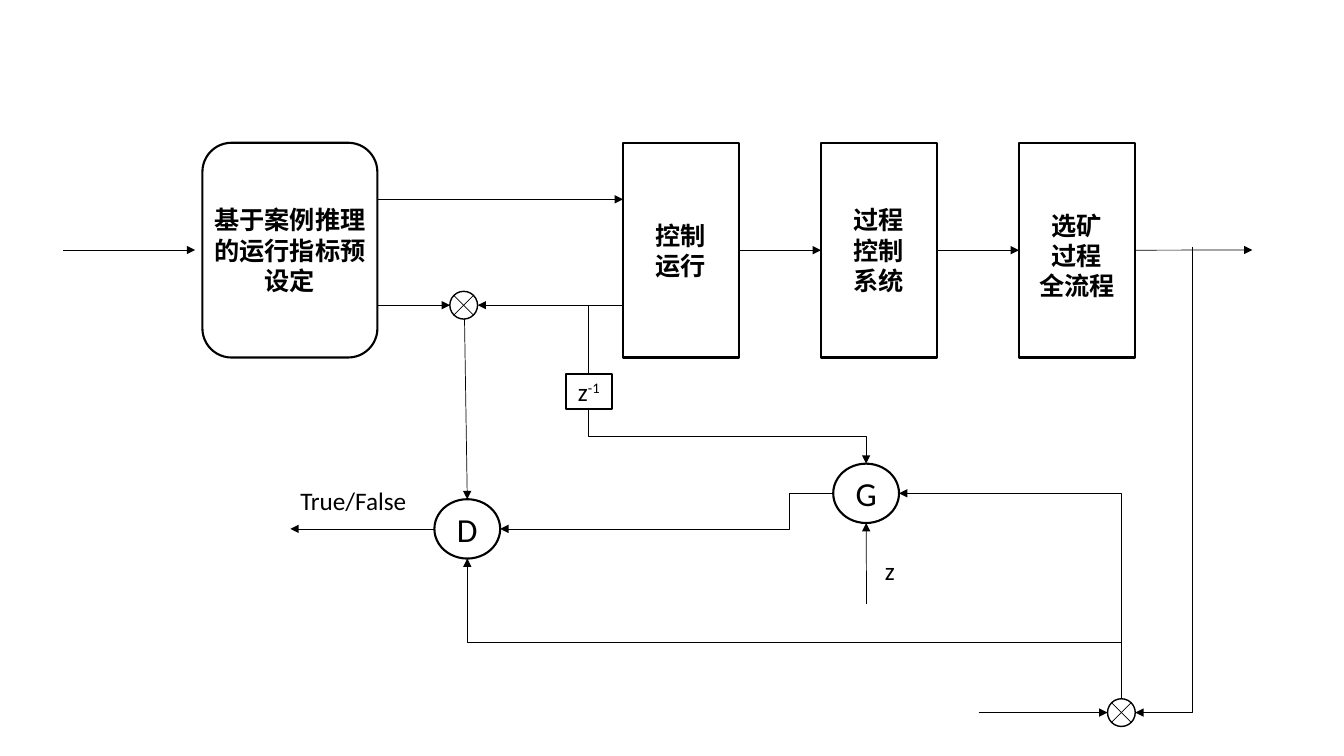
from dataclasses import dataclass

from lxml.etree import SubElement
from pptx import Presentation
from pptx.dml.color import RGBColor
from pptx.enum.shapes import MSO_CONNECTOR, MSO_SHAPE
from pptx.enum.text import MSO_ANCHOR, PP_ALIGN
from pptx.oxml.ns import qn
from pptx.util import Pt


@dataclass(frozen=True)
class Theme:
    ink: RGBColor = RGBColor(0, 0, 0)
    font: str = "Calibri"
    label_size: float = 18
    node_size: float = 24
    signal_line: float = 0.5
    junction_line: float = 1
    block_line: float = 1.5


@dataclass(frozen=True)
class Box:
    left: float
    top: float

    def at(self, x, y):
        return self.left + x, self.top + y


THEME = Theme()
LEFT_SITE, RIGHT_SITE = 1, 3


def add_span(para, text, size=THEME.label_size, bold=False, superscript=False):
    span = para.add_run()
    span.text = text
    span.font.name = THEME.font
    span.font.size = Pt(size)
    span.font.bold = bold
    span.font.color.rgb = THEME.ink
    if superscript:
        span._r.get_or_add_rPr().set("baseline", "30000")
    return span


def add_outline(page, kind, corner, size, weight):
    shape = page.shapes.add_shape(kind, *map(Pt, corner + size))
    shape.shadow.inherit = False
    shape.fill.background()
    shape.line.color.rgb = THEME.ink
    shape.line.width = Pt(weight)
    return shape


def add_block(page, kind, corner, size, lines, side=0, top=0,
              text_size=THEME.label_size, bold=True):
    """Outlined block with centred text; returns the shape."""
    shape = add_outline(page, kind, corner, size, THEME.block_line)
    frame = shape.text_frame
    frame.word_wrap = True
    frame.vertical_anchor = MSO_ANCHOR.MIDDLE
    frame.margin_left = frame.margin_right = Pt(side)
    frame.margin_top, frame.margin_bottom = Pt(top), Pt(0)
    for index, line in enumerate(lines):
        para = frame.paragraphs[0] if index == 0 else frame.add_paragraph()
        para.alignment = PP_ALIGN.CENTER
        add_span(para, line, text_size, bold)
    return shape


def add_node(page, center, letter):
    width, height = 47, 42.4
    corner = center[0] - width / 2, center[1] - height / 2
    return add_block(page, MSO_SHAPE.FLOWCHART_CONNECTOR, corner,
                     (width, height), [letter],
                     text_size=THEME.node_size, bold=False)


def add_label(page, corner, size, text):
    label = page.shapes.add_textbox(*map(Pt, corner + size))
    label.text_frame.word_wrap = False
    add_span(label.text_frame.paragraphs[0], text)


def style_line(line, arrow):
    line.line.color.rgb = THEME.ink
    line.line.width = Pt(THEME.signal_line)
    properties = line._element.spPr
    if arrow:
        SubElement(properties.find(qn("a:ln")), qn("a:tailEnd"), type="triangle")
    SubElement(properties, qn("a:effectLst"))


def add_signal(page, start, end, arrow=True):
    line = page.shapes.add_connector(
        MSO_CONNECTOR.STRAIGHT, *map(Pt, start + end))
    style_line(line, arrow)
    return line


def add_elbow(page, start, end, preset, rotation, flip=None, bend=None):
    """Elbow arrow; its frame is laid out before rotation about the centre."""
    line = page.shapes.add_connector(MSO_CONNECTOR.ELBOW, 0, 0, 0, 0)
    width, height = abs(end[0] - start[0]), abs(end[1] - start[1])
    if rotation in (90, 270):
        width, height = height, width
    line.left = Pt((start[0] + end[0] - width) / 2)
    line.top = Pt((start[1] + end[1] - height) / 2)
    line.width, line.height = Pt(width), Pt(height)
    frame = line._element.spPr.find(qn("a:xfrm"))
    frame.set("rot", str(rotation * 60000))
    if flip:
        frame.set(flip, "1")
    geometry = line._element.spPr.find(qn("a:prstGeom"))
    geometry.set("prst", preset)
    if bend:
        SubElement(geometry.find(qn("a:avLst")), qn("a:gd"),
                   name="adj1", fmla=f"val {bend}")
    style_line(line, True)


def add_junction(page, center):
    """Circle crossed by two diagonals."""
    x, y = center
    radius, reach = 9.9, 7
    add_outline(page, MSO_SHAPE.FLOWCHART_CONNECTOR, (x - radius, y - radius),
                (2 * radius, 2 * radius), THEME.junction_line)
    for slope in (1, -1):
        add_signal(page, (x - reach, y - slope * reach),
                   (x + reach, y + slope * reach), arrow=False)


def draw_forward_path(page, box):
    middle, upper, lower, height = 76.6, 40.4, 116, 153.4
    preset_right, first_stage, pitch, stage_width = 224.6, 400, 141.4, 82.8

    # Preset block and its signals
    add_block(page, MSO_SHAPE.ROUNDED_RECTANGLE, box.at(99.6, 0),
              (125, height), ["基于案例推理的运行指标预设定"])
    add_signal(page, box.at(0, middle), box.at(94.4, middle))
    add_signal(page, box.at(preset_right, upper), box.at(first_stage, upper))
    add_signal(page, box.at(preset_right, lower), box.at(276.4, lower))
    add_signal(page, box.at(first_stage, lower), box.at(296.2, lower))
    add_junction(page, box.at(286.2, lower))

    # Three stages in a row, each linked to the one before
    stages = [(["控制运行"], 23, 0), (["过程控制系统"], 23, 0),
              (["选矿", "过程", "全流程"], 7.2, 7.2)]
    previous = None
    for index, (lines, side, top) in enumerate(stages):
        left = first_stage + index * pitch
        stage = add_block(page, MSO_SHAPE.RECTANGLE, box.at(left, 0),
                          (stage_width, height), lines, side, top)
        if previous:
            link = add_signal(page, box.at(left - pitch + stage_width, middle),
                              box.at(left, middle))
            link.begin_connect(previous, RIGHT_SITE)
            link.end_connect(stage, LEFT_SITE)
        previous = stage
    output = add_signal(page, box.at(left + stage_width, middle),
                        box.at(849.6, middle))
    output.begin_connect(previous, RIGHT_SITE)


def draw_feedback(page, box):
    # Delay block
    delay = add_block(page, MSO_SHAPE.RECTANGLE, box.at(197, 49),
                      (33.2, 25.2), ["z"], bold=False)
    add_span(delay.text_frame.paragraphs[0], "-1", superscript=True)
    add_signal(page, box.at(213.6, 0), box.at(213.6, 49), arrow=False)

    # Generator, discriminator and comparison point
    add_node(page, box.at(411.7, 134.4), "G")
    add_node(page, box.at(126.8, 159.8), "D")
    add_junction(page, box.at(594, 291))

    # Straight signals
    for start, end in [((412, 213.3), (411.7, 155.6)),
                       ((124.8, 10), (126.8, 138.6)),
                       ((492, 291), (584.1, 291)),
                       ((103.3, 159.8), (0.4, 159.8))]:
        add_signal(page, box.at(*start), box.at(*end))

    # Bent signals
    for start, end, *route in [
            ((213.6, 74.2), (411.7, 113.2), "bentConnector3", 270, "flipH"),
            ((644.8, -41.6), (603.9, 291), "bentConnector2", 90),
            ((594, 281), (435.2, 134.4), "bentConnector2", 270, "flipV"),
            ((594, 240.6), (126.8, 181), "bentConnector2", 180),
            ((388.2, 134.4), (150.3, 159.8), "bentConnector3", 180, "flipV", 13300)]:
        add_elbow(page, box.at(*start), box.at(*end), *route)

    # Signal labels
    add_label(page, box.at(418, 175), (21.6, 28.8), "z")
    add_label(page, box.at(0.4, 125.4), (91.4, 28.8), "True/False")


def main():
    deck = Presentation()
    deck.slide_width, deck.slide_height = Pt(960), Pt(540)
    page = deck.slides.add_slide(deck.slide_layouts[6])
    draw_forward_path(page, Box(45, 102))
    draw_feedback(page, Box(207, 218))
    deck.save("out.pptx")


if __name__ == "__main__":
    main()
